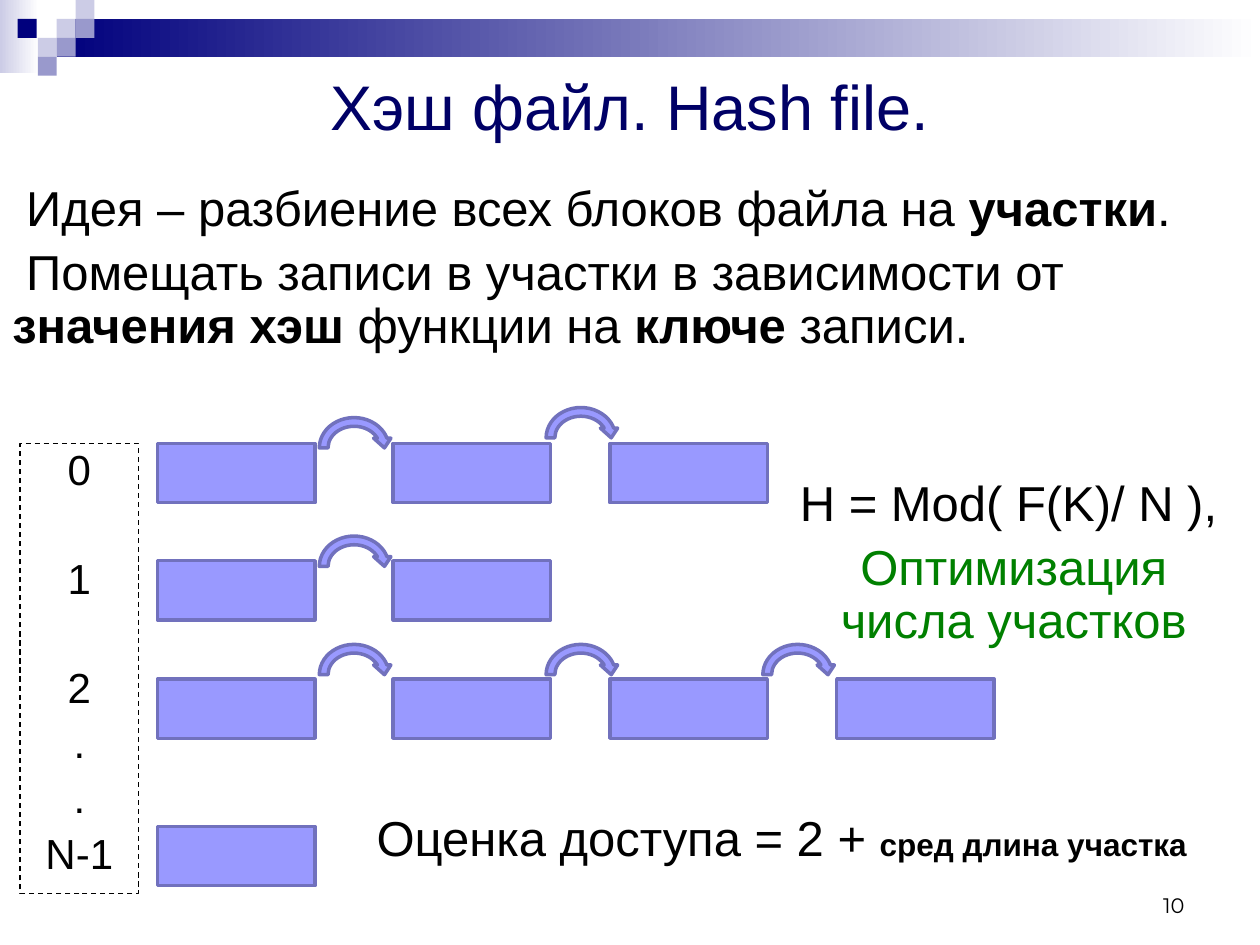
"""Builds the hash file slide: buckets with chains of blocks."""
from pptx import Presentation
from pptx.dml.color import RGBColor
from pptx.enum.dml import MSO_LINE
from pptx.enum.shapes import MSO_SHAPE as SHAPE
from pptx.enum.text import MSO_ANCHOR as ANCHOR, PP_ALIGN as ALIGN
from pptx.util import Inches, Pt

BLACK, NAVY, GREEN = "000000", "000066", "008000"
BLOCK, EDGE = "9999FF", "7171BD"
PALE, MID, DARK, WHITE = "CCCCE6", "9999CC", "00007D", "FFFFFF"

BANDS = [((0, 0, 0.31, 0.58), PALE), ((0.45, 0.15, 9.55, 0.3), DARK)]
SQUARES = [(0.45, 0.15, PALE), (0.6, 0, PALE), (0.6, 0.15, MID), (0.3, 0.3, PALE),
           (0.14, 0.15, DARK), (0.45, 0.3, MID), (0.3, 0.45, MID)]
SQUARE = 0.15

COLUMNS = [1.25, 3.12, 4.84, 6.64]
CHAINS = [(3.52, [3.28, 3.2]), (4.45, [4.22]), (5.39, [5.08] * 3), (6.56, [])]
BLOCK_SIZE = (1.25, 0.47)
ARROW_SIZE = (0.62, 0.55)
ARROW_COLUMNS = [2.5, 4.3, 6.02]

BUCKETS = ["0", "1", "2", ".", ".", "N-1"]
WIDE_GAP = {"1", "2"}
BOLD = {"bold": True}
BODY = {"size": 28, "spacing": 0.9}
INDENTED = {"indent": 0.11}
CENTERED = {"alignment": ALIGN.CENTER}

TEXTS = [
    ((0.5, 0.5, 9, 0.67), ANCHOR.MIDDLE, {"size": 36, "color": NAVY},
     [([("Хэш файл. Hash file.", {})], CENTERED)]),
    ((0, 1.41, 9.53, 1.47), ANCHOR.TOP, BODY,
     [([("Идея – разбиение всех блоков файла на ", {}), ("участки", BOLD), (".", {})],
       INDENTED),
      ([("Помещать записи в участки в зависимости от ", {}), ("значения хэш ", BOLD),
        ("функции на ", {}), ("ключе", BOLD), (" записи.", {})],
       INDENTED | {"space_before": Pt(6.5)})]),
    ((6.25, 3.75, 3.59, 1.47), ANCHOR.TOP, BODY,
     [([("H = Mod( F(K)/ N ),", {})], {}),
      ([("Оптимизация числа участков", {"color": GREEN})],
       CENTERED | {"space_before": Pt(6.5)})]),
    ((2.89, 6.41, 6.72, 0.52), ANCHOR.TOP, BODY,
     [([("Оценка доступа = 2 + ", {}), ("сред длина участка", BOLD | {"size": 18})], {})]),
    ((7.17, 6.83, 2.33, 0.5), ANCHOR.BOTTOM, {"size": 12, "name": "Montserrat"},
     [([("10", {})], {"alignment": ALIGN.RIGHT})]),
]


def rgb(value):
    return RGBColor.from_string(value)


def add_shape(s, kind, box, fill=None, line=None, width=2):
    sp = s.shapes.add_shape(kind, *map(Inches, box))
    sp.shadow.inherit = False
    if fill:
        sp.fill.solid()
        sp.fill.fore_color.rgb = rgb(fill)
    else:
        sp.fill.background()
    if line:
        sp.line.color.rgb = rgb(line)
        sp.line.width = Pt(width)
    else:
        sp.line.fill.background()
    return sp


def add_band(s, box, color):
    sp = add_shape(s, SHAPE.RECTANGLE, box)
    sp.fill.gradient()
    sp.fill.gradient_angle = 0
    for stop, value, position in zip(sp.fill.gradient_stops, (color, WHITE), (0, 1)):
        stop.color.rgb = rgb(value)
        stop.position = position


def write(sp, anchor, base, paragraphs):
    tf = sp.text_frame
    tf.word_wrap = True
    tf.vertical_anchor = anchor
    for i, (runs, layout) in enumerate(paragraphs):
        p = tf.add_paragraph() if i else tf.paragraphs[0]
        p.line_spacing = base.get("spacing", 1.0)
        for key, value in layout.items():
            if key == "indent":
                p._p.get_or_add_pPr().set("indent", str(Inches(value)))
            else:
                setattr(p, key, value)
        for text, look in runs:
            r = p.add_run()
            r.text = text
            style = {"name": "Arial", "color": BLACK, "bold": False} | base | look
            r.font.color.rgb = rgb(style["color"])
            r.font.size = Pt(style["size"])
            for key in ("name", "bold"):
                setattr(r.font, key, style[key])


def add_buckets(s):
    sp = add_shape(s, SHAPE.RECTANGLE, (0.16, 3.52, 0.94, 3.57), line=BLACK, width=0.75)
    sp.line.dash_style = MSO_LINE.DASH
    paragraphs = []
    for i, label in enumerate(BUCKETS):
        gap = 36.2 if label in WIDE_GAP else 5.7
        layout = CENTERED | ({"space_before": Pt(gap)} if i else {})
        paragraphs.append(([(label, {})], layout))
    write(sp, ANCHOR.TOP, {"size": 24, "spacing": 0.9}, paragraphs)


def main():
    prs = Presentation()
    prs.slide_width, prs.slide_height = Inches(10), Inches(7.5)
    s = prs.slides.add_slide(prs.slide_layouts[6])
    for box, color in BANDS:
        add_band(s, box, color)
    for x, y, color in SQUARES:
        add_shape(s, SHAPE.RECTANGLE, (x, y, SQUARE, SQUARE), color)
    for top, arrow_tops in CHAINS:
        for x in COLUMNS[:len(arrow_tops) + 1]:
            add_shape(s, SHAPE.RECTANGLE, (x, top, *BLOCK_SIZE), BLOCK, EDGE)
    for _, arrow_tops in CHAINS:
        for x, y in zip(ARROW_COLUMNS, arrow_tops):
            add_shape(s, SHAPE.CIRCULAR_ARROW, (x, y, *ARROW_SIZE), BLOCK, EDGE)
    add_buckets(s)
    for box, anchor, base, paragraphs in TEXTS:
        write(s.shapes.add_textbox(*map(Inches, box)), anchor, base, paragraphs)
    prs.save("out.pptx")


if __name__ == "__main__":
    main()
